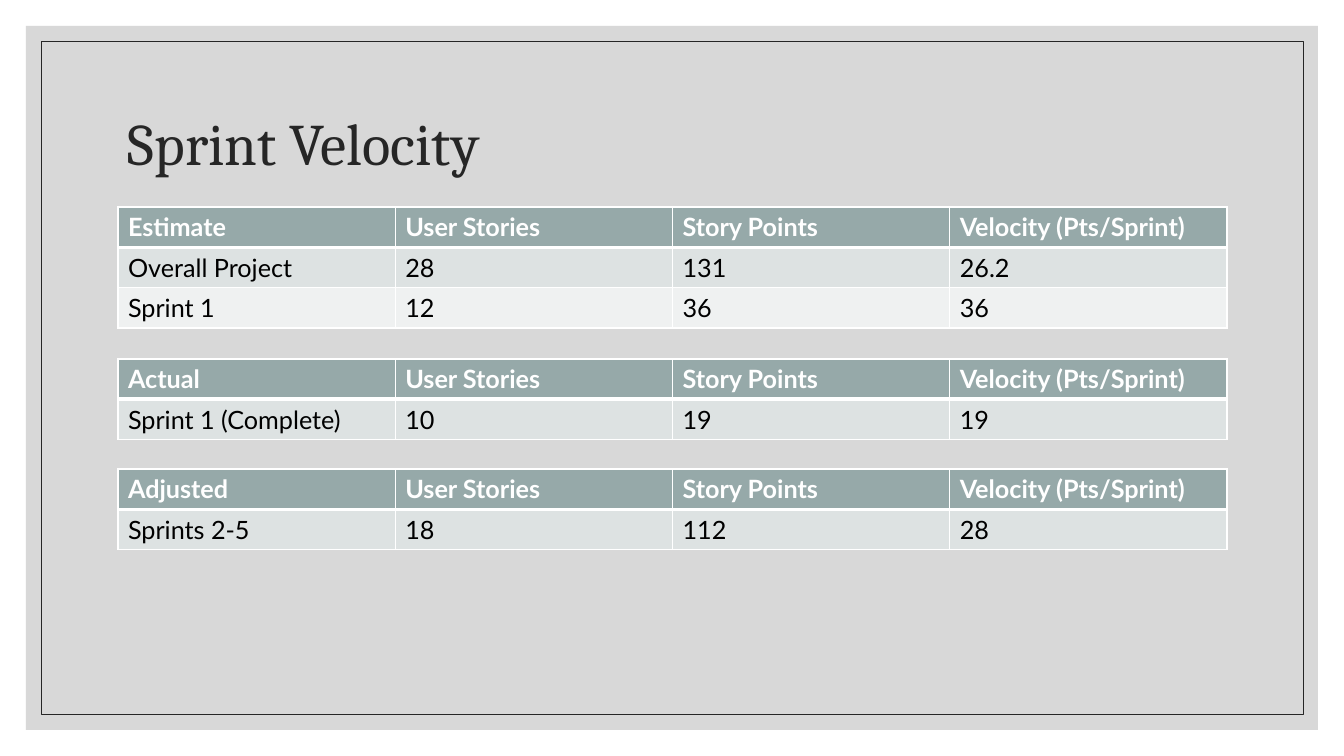
"""Build the Sprint Velocity slide with its three tables."""
import pptx
import pptx.util
import pptx.dml.color
import pptx.enum.shapes
import pptx.enum.text
import pptx.oxml
import pptx.oxml.ns
from dataclasses import dataclass


@dataclass(frozen=True)
class Theme:
    panel: str = "BFBFBF"
    panel_alpha: int = 60
    ink: str = "262626"
    white: str = "FFFFFF"
    body: str = "000000"
    header: str = "96A9A9"
    bands: tuple = ("DDE2E2", "EFF1F1")
    title_font: str = "Cambria"
    table_font: str = "Lato"
    title_size: int = 42
    table_size: int = 18
    frame_line: float = 0.5
    grid_line: int = 1
    header_line: int = 3


def px(n):
    return pptx.util.Emu(round(n * 914400 / 100.8))


def rgb(color):
    return pptx.dml.color.RGBColor.from_string(color)


def element(tag, **attributes):
    el = pptx.oxml.parse_xml(f"<a:{tag} {pptx.oxml.ns.nsdecls('a')}/>")
    for name, value in attributes.items():
        el.set(name, str(value))
    return el


class Deck:
    def __init__(self, prs, theme):
        self.theme = theme
        self.s = prs.slides.add_slide(prs.slide_layouts[6])

    def rect(self, x, y, w, h, fill=None, alpha=100, line=None):
        kind = pptx.enum.shapes.MSO_SHAPE.RECTANGLE
        sp = self.s.shapes.add_shape(kind, px(x), px(y), px(w), px(h))
        sp.shadow.inherit = False
        if fill:
            sp.fill.solid()
            sp.fill.fore_color.rgb = rgb(fill)
            color = sp.fill._xPr.find(".//" + pptx.oxml.ns.qn("a:srgbClr"))
            color.append(element("alpha", val=alpha * 1000))
        else:
            sp.fill.background()
        if line:
            sp.line.color.rgb = rgb(line)
            sp.line.width = pptx.util.Pt(self.theme.frame_line)
        else:
            sp.line.fill.background()

    def style(self, p, font, size, color, bold=False):
        for r in p.runs:
            r.font.name = font
            r.font.size = pptx.util.Pt(size)
            r.font.bold = bold
            r.font.color.rgb = rgb(color)

    def title(self, text, x, y, w, h):
        tf = self.s.shapes.add_textbox(px(x), px(y), px(w), px(h)).text_frame
        tf.word_wrap = True
        tf.vertical_anchor = pptx.enum.text.MSO_ANCHOR.MIDDLE
        p = tf.paragraphs[0]
        p.text = text
        p.line_spacing = 0.9
        self.style(p, self.theme.title_font, self.theme.title_size, self.theme.ink)

    def borders(self, cell, top, bottom):
        t = self.theme
        widths = {"lnL": t.grid_line, "lnR": t.grid_line, "lnT": top, "lnB": bottom}
        for tag, width in widths.items():
            ln = element(tag, w=pptx.util.Pt(width))
            fill = element("solidFill")
            fill.append(element("srgbClr", val=t.white))
            ln.append(fill)
            cell._tc.get_or_add_tcPr().append(ln)

    def table(self, rows, x, y, w, row_h):
        t = self.theme
        frame = self.s.shapes.add_table(
            len(rows), len(rows[0]), px(x), px(y), px(w), px(row_h * len(rows)))
        for i, row in enumerate(rows):
            header = i == 0
            top = t.header_line if i == 1 else t.grid_line
            bottom = t.header_line if header else t.grid_line
            fill = t.header if header else t.bands[(i - 1) % 2]
            for j, text in enumerate(row):
                cell = frame.table.cell(i, j)
                self.borders(cell, top, bottom)
                cell.fill.solid()
                cell.fill.fore_color.rgb = rgb(fill)
                cell.text_frame.text = text
                self.style(cell.text_frame.paragraphs[0], t.table_font, t.table_size,
                           t.white if header else t.body, header)


MEASURES = ["User Stories", "Story Points", "Velocity (Pts/Sprint)"]
TABLES = [
    (207, "Estimate", [["Overall Project", "28", "131", "26.2"],
                       ["Sprint 1", "12", "36", "36"]]),
    (359, "Actual", [["Sprint 1 (Complete)", "10", "19", "19"]]),
    (469, "Adjusted", [["Sprints 2-5", "18", "112", "28"]]),
]
LEFT, WIDTH, ROW = 118, 1109, 40

prs = pptx.Presentation()
prs.slide_width, prs.slide_height = px(1344), px(756)
theme = Theme()
deck = Deck(prs, theme)
deck.rect(26, 26, 1292, 704, fill=theme.panel, alpha=theme.panel_alpha)
deck.rect(41, 41, 1262, 673, line=theme.ink)
deck.title("Sprint Velocity", LEFT, 71, WIDTH, 151)
for top, name, body in TABLES:
    deck.table([[name] + MEASURES] + body, LEFT, top, WIDTH, ROW)
prs.save("out.pptx")
